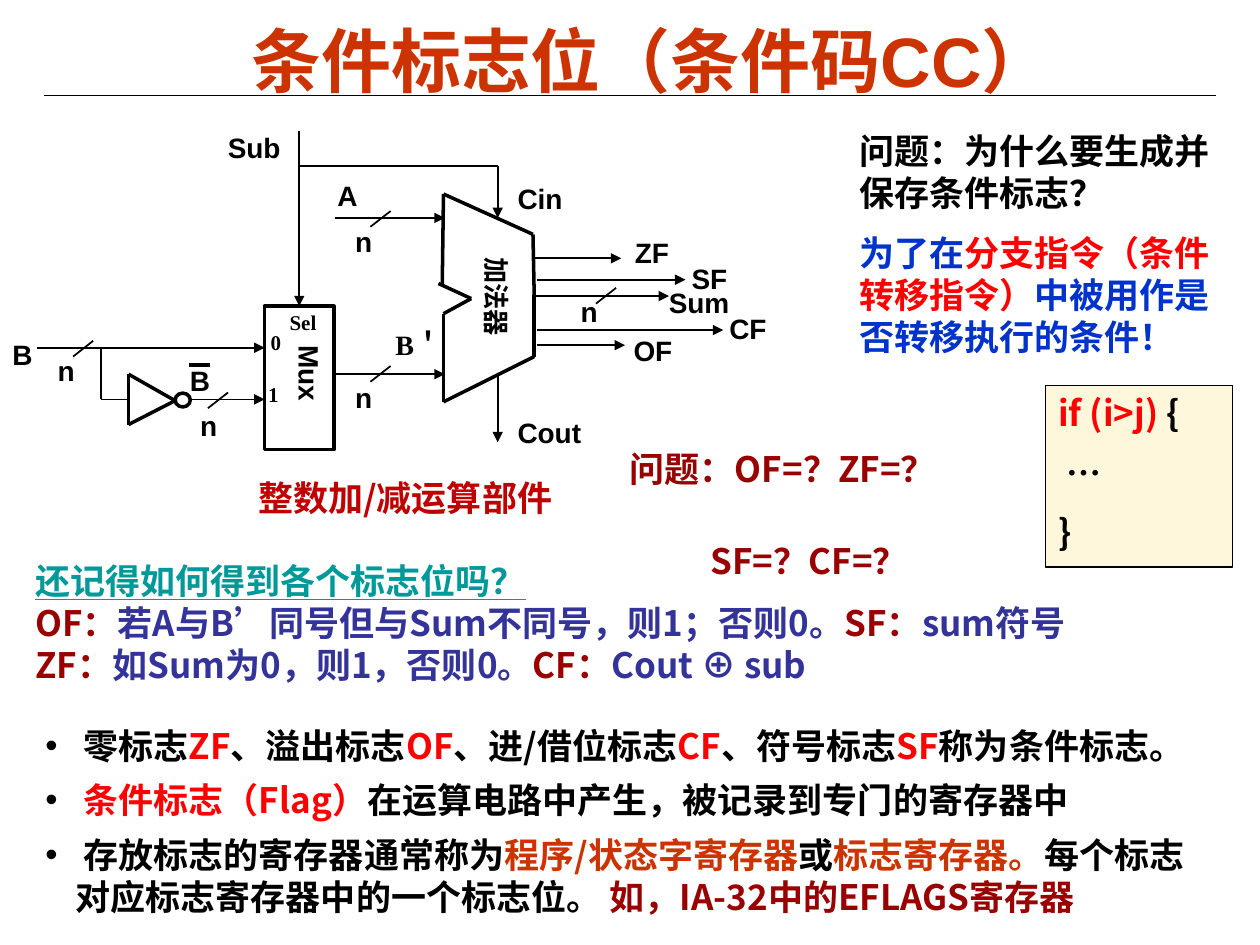
import itertools
from dataclasses import dataclass

import pptx
import pptx.dml.color
import pptx.enum.shapes
import pptx.enum.text
import pptx.oxml.ns
import pptx.util
from lxml import etree

COLUMNS, ROWS = 100, 75
ANCHOR = pptx.enum.text.MSO_ANCHOR
ALIGN = pptx.enum.text.PP_ALIGN
SHAPE = pptx.enum.shapes.MSO_SHAPE


@dataclass(frozen=True)
class Theme:
    latin: str = "Arial"
    chinese: str = "Noto Sans CJK SC"
    serif: str = "Times New Roman"
    black: str = "000000"
    red: str = "FF0000"
    orange: str = "CC3300"
    maroon: str = "990000"
    crimson: str = "C00000"
    teal: str = "009999"
    indigo: str = "333399"
    blue: str = "0033CC"
    amber: str = "FFCC00"
    title: int = 40
    body: int = 20
    label: int = 16
    vertical: int = 15
    pin: int = 12
    hairline: float = 0.75
    wire: float = 1
    outline: float = 2
    overbar: float = 2.25


THEME = Theme()


@dataclass(frozen=True)
class Label:
    text: str
    col: float
    row: float
    cols: float
    rows: float = 3.6
    font: str = THEME.latin
    size: int = THEME.label
    turn: int = 0
    wrap: bool = False
    spacing: float | None = None


@dataclass(frozen=True)
class Wire:
    start: tuple[float, float]
    end: tuple[float, float]
    arrow: bool = False
    width: float = THEME.wire


@dataclass(frozen=True)
class Line:
    runs: list[tuple[str, str]]
    gap: float = 0
    indent: float = 0
    underline: bool = False


def grid(cells: float, across: bool = True) -> int:
    return round(pptx.util.Inches(10) * cells / COLUMNS if across else pptx.util.Inches(7.5) * cells / ROWS)


def frame(col: float, row: float, cols: float, rows: float) -> tuple[int, int, int, int]:
    return grid(col), grid(row, False), grid(cols), grid(rows, False)


def rgb(code: str) -> pptx.dml.color.RGBColor:
    return pptx.dml.color.RGBColor.from_string(code)


def add_child(parent, tag: str, **attributes: str):
    return etree.SubElement(parent, pptx.oxml.ns.qn(tag), **attributes)


def style(font, name: str, size: float, color: str, underline: bool = False) -> None:
    font.name, font.size, font.bold = name, pptx.util.Pt(size), True
    font.color.rgb = rgb(color)
    if underline:
        font.underline = True


def write(text_frame, lines: list[Line], font: str = THEME.chinese, size: int = THEME.body,
          anchor=ANCHOR.TOP) -> None:
    text_frame.word_wrap = True
    text_frame.auto_size = pptx.enum.text.MSO_AUTO_SIZE.NONE
    text_frame.vertical_anchor = anchor
    for index, line in enumerate(lines):
        paragraph = text_frame.add_paragraph() if index else text_frame.paragraphs[0]
        paragraph.alignment = ALIGN.LEFT
        paragraph.line_spacing = pptx.util.Pt(1.2 * size)
        paragraph.space_before = pptx.util.Pt(line.gap)
        if line.indent:
            paragraph._p.get_or_add_pPr().set("marL", str(grid(line.indent)))
        style(paragraph.font, font, size, line.runs[0][1])
        for text, color in line.runs:
            run = paragraph.add_run()
            run.text = text
            style(run.font, font, size, color, line.underline)
            add_child(run._r.get_or_add_rPr(), "a:ea", typeface=THEME.chinese)


def add_bullets(text_frame, hang: float) -> None:
    for paragraph in text_frame.paragraphs:
        properties = paragraph._p.get_or_add_pPr()
        properties.set("marL", str(grid(hang)))
        properties.set("indent", str(-grid(hang)))
        defaults = properties.find(pptx.oxml.ns.qn("a:defRPr"))
        for tag, key, value in (("a:buFont", "typeface", THEME.latin), ("a:buChar", "char", "•")):
            defaults.addprevious(add_child(properties, tag, **{key: value}))


def draw_block(slide, place: tuple[float, float, float, float], lines: list[Line],
               font: str = THEME.chinese) -> None:
    write(slide.shapes.add_textbox(*frame(*place)).text_frame, lines, font)


def draw_label(slide, label: Label) -> None:
    box = slide.shapes.add_textbox(*frame(label.col, label.row, label.cols, label.rows))
    box.rotation = label.turn
    box.text_frame.word_wrap = label.wrap
    paragraph = box.text_frame.paragraphs[0]
    if label.spacing:
        paragraph.line_spacing = label.spacing
    run = paragraph.add_run()
    run.text = label.text
    for font in (paragraph.font, run.font):
        style(font, label.font, label.size, THEME.black)


def draw_wire(slide, wire: Wire):
    ends = [grid(value, across) for point in (wire.start, wire.end) for value, across in zip(point, (True, False))]
    connector = slide.shapes.add_connector(pptx.enum.shapes.MSO_CONNECTOR.STRAIGHT, *ends)
    connector.line.color.rgb = rgb(THEME.black)
    connector.line.width = pptx.util.Pt(wire.width)
    properties = connector._element.spPr
    if wire.arrow:
        add_child(properties.find(pptx.oxml.ns.qn("a:ln")), "a:tailEnd", type="triangle")
    add_child(properties, "a:effectLst")
    return connector


def draw_shape(slide, kind, place: tuple[float, float, float, float], width: float):
    shape = slide.shapes.add_shape(kind, *frame(*place))
    shape.shadow.inherit = False
    shape.fill.background()
    shape.line.color.rgb = rgb(THEME.black)
    shape.line.width = pptx.util.Pt(width)
    return shape


ADDER = [(35.1, 22.6), (35.2, 15.4), (42.3, 18.6), (42.4, 23.4), (42.4, 28.3),
         (35.2, 31.9), (35.2, 24.9), (37.4, 23.7), (34.8, 22.5)]
INVERTER = [(10.2, 29.7), (13.9, 31.8), (10.2, 33.7), (10.2, 29.7)]
SLASHES = [(29.4, 30.3), (29.4, 18), (47.3, 24.1), (5.8, 28.3), (16.5, 32.4)]
ARROWS = [((26.6, 17.3), (35.3, 17.3)), ((26.6, 29.7), (35.3, 29.7)), ((42.4, 23.5), (53.1, 23.5)),
          ((39.5, 13.2), (39.5, 17.3)), ((39.5, 29.8), (39.5, 35.1)), ((2.9, 27.6), (21, 27.6)),
          ((15.1, 31.7), (21, 31.7)), ((42.3, 20.5), (49.3, 20.5)), ((42.6, 27.4), (49.6, 27.4)),
          ((42.6, 22.2), (54.4, 22.2)), ((42.6, 26.2), (57.4, 26.2))]
WIRES = (
    [Wire(*edge, width=THEME.outline) for points in (ADDER, INVERTER) for edge in itertools.pairwise(points)]
    + [Wire((col, row), (col + 1.6, row - 1.25)) for col, row in SLASHES]
    + [Wire(*ends, arrow=True) for ends in ARROWS]
    + [Wire((8, 27.7), (8, 31.7)), Wire((8, 31.7), (10.1, 31.7)), Wire((39.5, 13.2), (23.7, 13.2)),
       Wire((15, 29), (16.7, 29), width=THEME.overbar),
       Wire((3.5, 7.6), (96.5, 7.6), width=THEME.hairline)]
)
LABELS = [
    Label("Sum", 52.1, 22.2, 6.8), Label("加法器", 34.3, 22.8, 10.2, 3.5, size=THEME.vertical, turn=90, wrap=True),
    Label("n", 27.2, 17.3, 3.3), Label("n", 27.2, 29.7, 3.3), Label("n", 45.1, 23.5, 3.3, 3, spacing=0.75),
    Label("n", 3.6, 27.6, 3.3), Label("n", 14.9, 31.9, 3.3),
    Label("A", 25.8, 13.7, 3.6), Label("B", 0, 26.3, 3.6), Label("B", 14.1, 28.4, 3.6),
    Label("ZF", 49.4, 18.2, 4.7), Label("OF", 49.3, 26, 5.1),
    Label("SF", 53.9, 20.3, 5.9, wrap=True), Label("CF", 56.9, 24.2, 6, wrap=True),
    Label("Cin", 40.1, 13.9, 5.6), Label("Cout", 40.1, 32.5, 7.6, wrap=True), Label("Sub", 17.1, 9.9, 6.2),
    Label("0", 20.5, 25.7, 2.8, 3, THEME.serif, THEME.pin), Label("1", 20.3, 29.8, 2.8, 3, THEME.serif, THEME.pin),
    Label("Sel", 22, 24.1, 4.1, 3, THEME.serif, THEME.pin), Label("Mux", 20.7, 28.5, 7.8, turn=90, wrap=True),
    Label("B＇", 30.4, 25.5, 6.8, font=THEME.serif, wrap=True),
]
FLAG_SUMMARY = [
    Line([(" 零标志", THEME.black), ("ZF", THEME.red), ("、溢出标志", THEME.black), ("OF", THEME.red),
          ("、进/借位标志", THEME.black), ("CF", THEME.red), ("、符号标志", THEME.black), ("SF", THEME.red),
          ("称为条件标志。", THEME.black)]),
    Line([(" ", THEME.black), ("条件标志（Flag）", THEME.red),
          ("在运算电路中产生，被记录到专门的寄存器中", THEME.black)], gap=7),
    Line([(" 存放标志的寄存器通常称为", THEME.black), ("程序/状态字寄存器", THEME.orange), ("或", THEME.black),
          ("标志寄存器。", THEME.orange), ("每个标志对应标志寄存器中的一个标志位。", THEME.black),
          (" 如，IA-32中的EFLAGS寄存器", THEME.maroon)], gap=7),
]
FLAG_RULES = [
    Line([("还记得如何得到各个标志位吗？", THEME.teal)], underline=True),
    Line([("OF：", THEME.maroon), ("若A与B’同号但与Sum不同号，则1；否则0。", THEME.indigo),
          ("SF：", THEME.maroon), ("sum符号", THEME.indigo)]),
    Line([("ZF：", THEME.maroon), ("如Sum为0，则1，否则0。", THEME.indigo),
          ("CF：", THEME.maroon), ("Cout ⊕ sub", THEME.indigo)]),
]
FLAG_QUESTION = [Line([("问题：OF=？ZF=？", THEME.maroon)]),
                 Line([("SF=？CF=？", THEME.maroon)], gap=29, indent=6.4)]
PURPOSE = [
    Line([("问题：为什么要生成并保存条件标志？", THEME.black)]),
    Line([("为了在", THEME.blue), ("分支指令（条件转移指令）", THEME.red),
          ("中被用作是否转移执行的条件！", THEME.blue)], gap=10),
]
BRANCH_CODE = [Line([("if (i>j)", THEME.red), (" {", THEME.black)]),
               Line([(" …", THEME.black)], gap=10), Line([("}", THEME.black)], gap=10)]


def main() -> None:
    deck = pptx.Presentation()
    deck.slide_width, deck.slide_height = pptx.util.Inches(10), pptx.util.Inches(7.5)
    slide = deck.slides.add_slide(deck.slide_layouts[1])

    heading, summary = slide.shapes.title, slide.placeholders[1]
    heading.left, heading.top, heading.width, heading.height = frame(11.6, 1.1, 80.2, 6.6)
    write(heading.text_frame, [Line([("条件标志位（条件码CC）", THEME.orange)])], THEME.latin, THEME.title)
    heading.text_frame.paragraphs[0].alignment = ALIGN.CENTER
    heading.text_frame.margin_left = heading.text_frame.margin_right = grid(0.7)
    heading.text_frame.margin_top = heading.text_frame.margin_bottom = grid(0.3, False)

    summary.left, summary.top, summary.width, summary.height = frame(2.6, 56.8, 95, 16.7)
    write(summary.text_frame, FLAG_SUMMARY, anchor=ANCHOR.MIDDLE)
    add_bullets(summary.text_frame, 2.4)

    draw_block(slide, (49, 35, 29, 8.5), FLAG_QUESTION)
    draw_block(slide, (1.8, 43.9, 94.9, 11), FLAG_RULES)
    draw_block(slide, (19.5, 37.3, 26.1, 4.3), [Line([("整数加/减运算部件", THEME.crimson)])])
    draw_block(slide, (67.2, 9.8, 30, 19.3), PURPOSE, THEME.latin)

    mux = draw_shape(slide, SHAPE.RECTANGLE, (21, 24.3, 5.5, 11.4), THEME.outline)
    draw_shape(slide, SHAPE.OVAL, (13.9, 31.2, 1.2, 1.1), THEME.outline)
    for wire in WIRES:
        draw_wire(slide, wire)
    draw_wire(slide, Wire((23.75, 10.4), (23.75, 24.3), arrow=True)).end_connect(mux, 0)
    for label in LABELS:
        draw_label(slide, label)

    code = draw_shape(slide, SHAPE.RECTANGLE, (83, 30.6, 14.8, 14.4), THEME.hairline)
    code.fill.solid()
    code.fill.fore_color.rgb = rgb(THEME.amber)
    add_child(code._element.spPr.find(".//" + pptx.oxml.ns.qn("a:srgbClr")), "a:alpha", val="14000")
    write(code.text_frame, BRANCH_CODE)

    deck.save("out.pptx")


if __name__ == "__main__":
    main()
